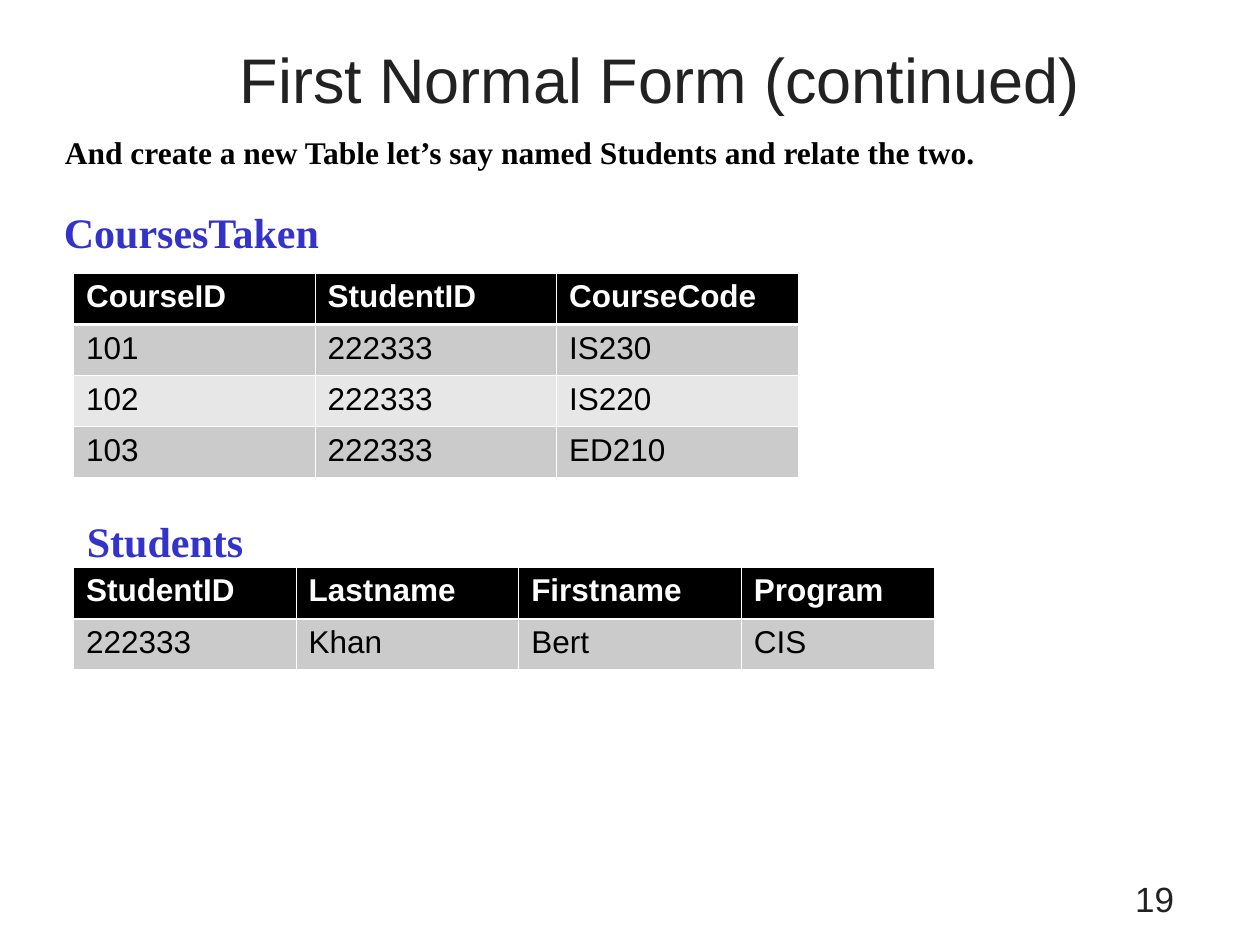
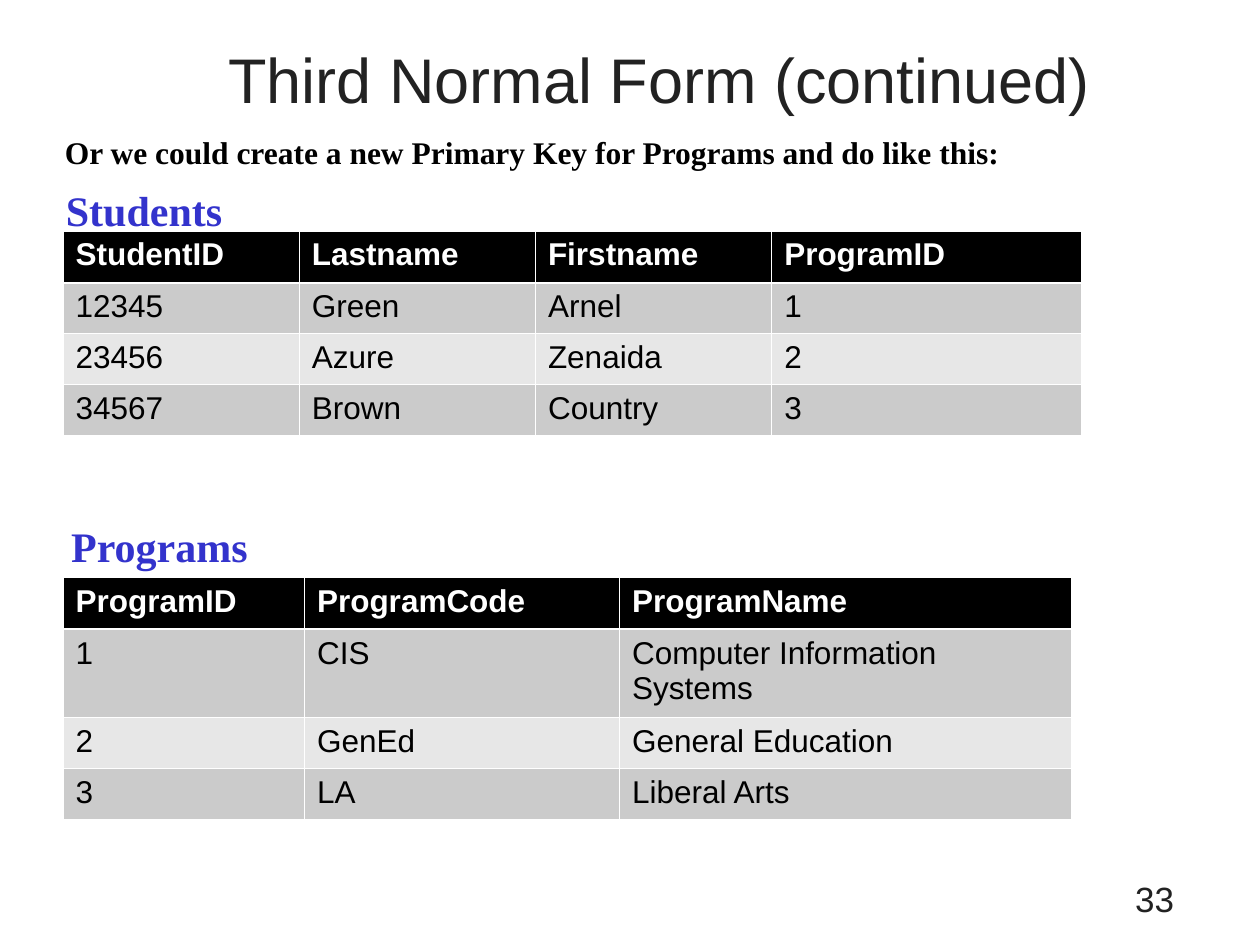
from dataclasses import dataclass

from lxml import etree
from pptx import Presentation
from pptx.dml.color import RGBColor
from pptx.enum.text import MSO_ANCHOR, MSO_AUTO_SIZE, PP_ALIGN
from pptx.oxml.ns import qn
from pptx.util import Inches, Pt

LEFT, CENTER, RIGHT = PP_ALIGN.LEFT, PP_ALIGN.CENTER, PP_ALIGN.RIGHT
MIDDLE = MSO_ANCHOR.MIDDLE
FIXED, GROW = MSO_AUTO_SIZE.NONE, MSO_AUTO_SIZE.SHAPE_TO_FIT_TEXT
TITLE_ONLY = 5

# The slide is a grid of 120 columns and 90 rows, twelve units to the inch.
UNIT = Inches(1) // 12
COLS, ROWS = 120, 90
HEAD_ROW, BODY_ROW, TALL_ROW = 4.92, 4.84, 8.4


@dataclass(frozen=True)
class Style:
    """Font, size, colour and weight of a kind of text."""
    font: str
    size: int
    color: str
    bold: bool = False


@dataclass(frozen=True)
class Theme:
    """Colours and type shared by all slides."""
    title: Style = Style("Arial", 36, "222222")
    number: Style = Style("Arial", 20, "222222")
    intro: Style = Style("Times New Roman", 18, "000000", True)
    label: Style = Style("Times New Roman", 24, "3333CC", True)
    head: Style = Style("Arial", 18, "FFFFFF", True)
    body: Style = Style("Arial", 18, "000000")
    head_fill: str = "000000"
    bands: tuple = ("CBCBCB", "E7E7E7")
    rule: str = "FFFFFF"
    thin: float = 0.45
    thick: float = 1.47


THEME = Theme()


def units(*values):
    """Turn grid units into lengths."""
    return [round(v * UNIT) for v in values]


def write(tf, text, style, align=LEFT):
    """Put one formatted paragraph into a text frame."""
    tf.text = text
    p = tf.paragraphs[0]
    p.alignment = align
    font = p.runs[0].font
    font.name, font.size, font.bold = style.font, Pt(style.size), style.bold
    font.color.rgb = RGBColor.from_string(style.color)


def add_text(s, box, text, style, align=LEFT, wrap=True, fit=GROW):
    """Add a text box at a grid box (left, top, width, height)."""
    tf = s.shapes.add_textbox(*units(*box)).text_frame
    tf.word_wrap, tf.auto_size = wrap, fit
    write(tf, text, style, align)


def add_label(s, left, top, width, text):
    """Add the name of a database table."""
    add_text(s, (left, top, width, 6), text, THEME.label, wrap=False)


def set_borders(cell, top, bottom):
    """Rule the four sides of a cell; top and bottom give widths in points."""
    tc_pr = cell._tc.get_or_add_tcPr()
    sides = {"lnL": THEME.thin, "lnR": THEME.thin, "lnT": top, "lnB": bottom}
    for side, width in sides.items():
        ln = etree.SubElement(tc_pr, qn(f"a:{side}"), w=str(int(Pt(width))))
        fill = etree.SubElement(ln, qn("a:solidFill"))
        etree.SubElement(fill, qn("a:srgbClr"), val=THEME.rule)


def add_data_table(s, left, top, widths, rows, tall=()):
    """Add a table with a black header and banded rows; tall lists two-line rows."""
    heights = [HEAD_ROW] + [TALL_ROW if i in tall else BODY_ROW
                            for i in range(1, len(rows))]
    box = units(left, top, sum(widths), sum(heights))
    table = s.shapes.add_table(len(rows), len(widths), *box).table
    table.horz_banding = False
    for column, width in zip(table.columns, units(*widths)):
        column.width = width
    for i, (values, height) in enumerate(zip(rows, units(*heights))):
        table.rows[i].height = height
        style = THEME.body if i else THEME.head
        color = THEME.bands[(i - 1) % 2] if i else THEME.head_fill
        for j, value in enumerate(values):
            cell = table.cell(i, j)
            set_borders(cell, top=THEME.thick if i == 1 else THEME.thin,
                        bottom=THEME.thin if i else THEME.thick)
            cell.fill.solid()
            cell.fill.fore_color.rgb = RGBColor.from_string(color)
            write(cell.text_frame, value, style)


def add_slide(prs, title, intro, number):
    """Add a slide with its title, opening sentence and slide number."""
    s = prs.slides.add_slide(prs.slide_layouts[TITLE_ONLY])
    sp = s.shapes.title
    sp.left, sp.top, sp.width, sp.height = units(9, 0, 106, 15)
    tf = sp.text_frame
    tf.word_wrap, tf.auto_size, tf.vertical_anchor = True, FIXED, MIDDLE
    write(tf, title, THEME.title, CENTER)
    add_text(s, (5, 12.1, 111, 4.8), intro, THEME.intro)
    add_text(s, (86, 83, 27, 5), number, THEME.number, RIGHT, fit=FIXED)
    return s


def add_first_form(prs):
    """Build the first normal form slide."""
    s = add_slide(prs, " First Normal Form (continued)",
                  "And create a new Table let’s say named Students and relate the two.",
                  "19")
    add_label(s, 4.9, 19.1, 27, "CoursesTaken")
    add_data_table(s, 7, 26, [23] * 3, [
        ("CourseID", "StudentID", "CourseCode"),
        ("101", "222333", "IS230"),
        ("102", "222333", "IS220"),
        ("103", "222333", "ED210"),
    ])
    add_label(s, 7.1, 48.5, 17.3, "Students")
    add_data_table(s, 7, 54, [21.2] * 3 + [18.4], [
        ("StudentID", "Lastname", "Firstname", "Program"),
        ("222333", "Khan", "Bert", "CIS"),
    ])


def add_third_form(prs):
    """Build the third normal form slide."""
    s = add_slide(prs, " Third Normal Form (continued)",
                  "Or we could create a new Primary Key for Programs and do like this:",
                  "33")
    add_label(s, 5.1, 17, 17.3, "Students")
    add_data_table(s, 6, 22, [22.5] * 3 + [29.5], [
        ("StudentID", "Lastname", "Firstname", "ProgramID"),
        ("12345", "Green", "Arnel", "1"),
        ("23456", "Azure", "Zenaida", "2"),
        ("34567", "Brown", "Country", "3"),
    ])
    add_label(s, 5.6, 49, 19.2, "Programs")
    add_data_table(s, 6, 55, [23, 30, 43], [
        ("ProgramID", "ProgramCode", "ProgramName"),
        ("1", "CIS", "Computer Information Systems"),
        ("2", "GenEd", "General Education"),
        ("3", "LA", "Liberal Arts"),
    ], tall=(1,))


def main():
    """Build and save the presentation."""
    prs = Presentation()
    prs.slide_width, prs.slide_height = units(COLS, ROWS)
    add_first_form(prs)
    add_third_form(prs)
    prs.save("out.pptx")


main()
